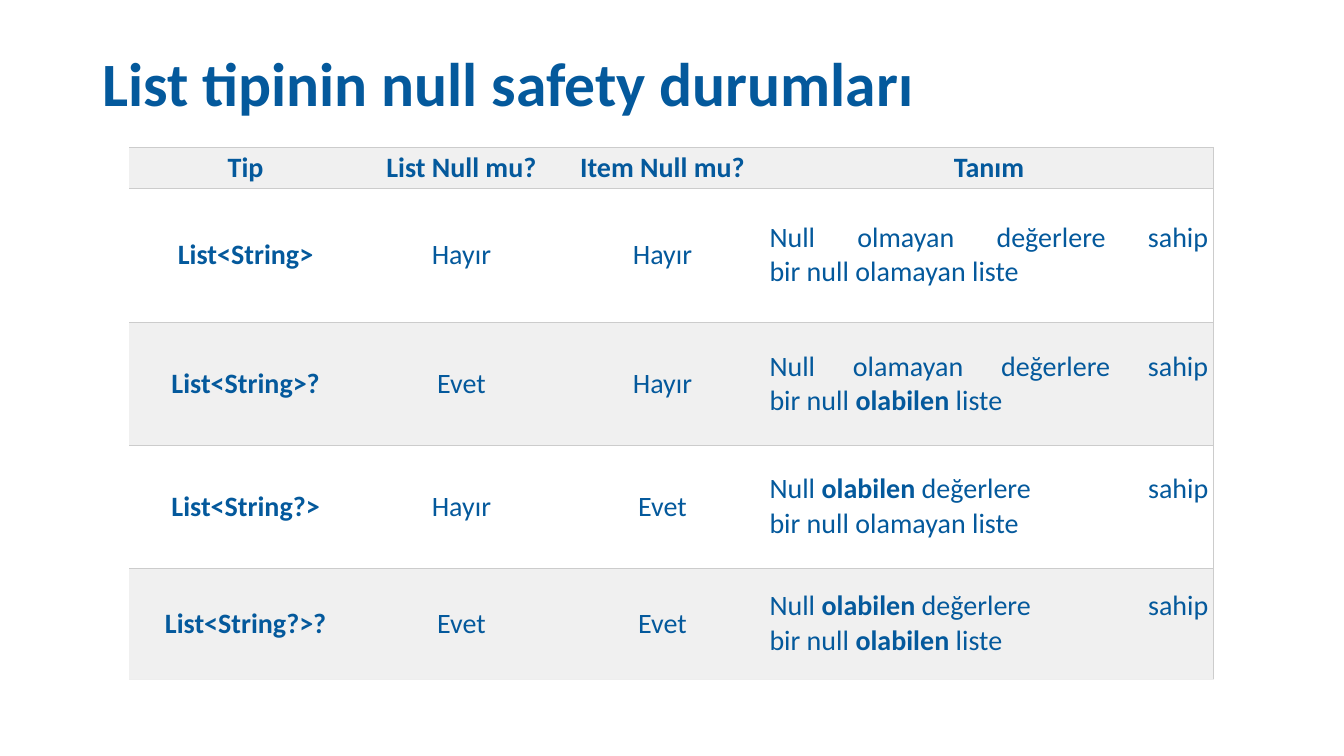
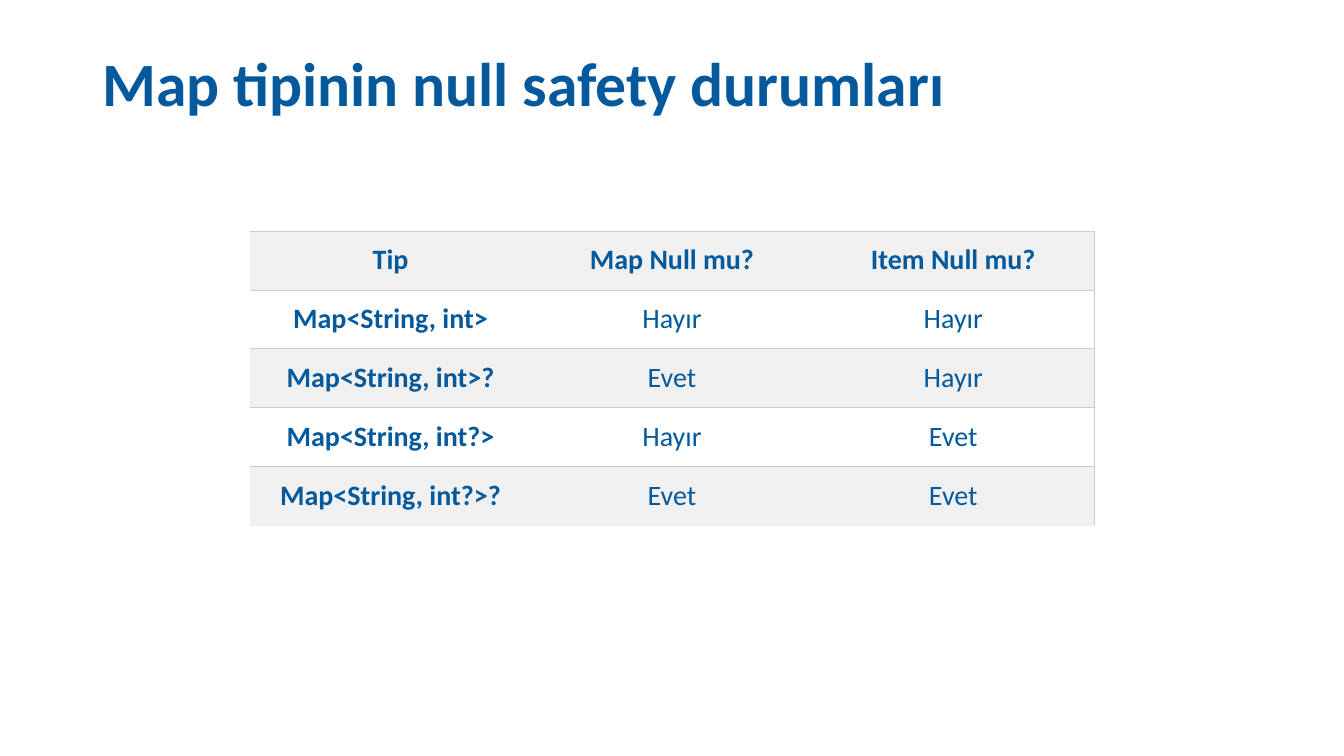
from lxml import etree
from pptx import Presentation
from pptx.dml.color import RGBColor
from pptx.enum.text import MSO_ANCHOR, PP_ALIGN
from pptx.oxml.ns import qn
from pptx.util import Pt

PIXEL = 9525
BLANK_LAYOUT = 6
MIDDLE = MSO_ANCHOR.MIDDLE
LEFT, CENTER, JUSTIFY = PP_ALIGN.LEFT, PP_ALIGN.CENTER, PP_ALIGN.JUSTIFY
FONT = "Calibri"
BLUE = "04599C"
GRAY, WHITE = "F0F0F0", "FFFFFF"
RULE, LAST_RULE = "CCCCCC", "EEEEEE"
RULE_WIDTH = Pt(0.38)
TITLE_SIZE, TABLE_SIZE = 44, 20
NO_BREAK_SPACE = chr(160)

LIST_ROWS = [
    ["Tip", "List Null mu?", "Item Null mu?", "Tanım"],
    ["List<String>", "Hayır", "Hayır",
     "Null olmayan değerlere sahip\nbir null olamayan liste"],
    ["List<String>?", "Evet", "Hayır",
     "Null olamayan değerlere sahip\nbir null~*olabilen*~liste"],
    ["List<String?>", "Hayır", "Evet",
     "Null~*olabilen*~değerlere sahip\nbir null olamayan liste"],
    ["List<String?>?", "Evet", "Evet",
     "Null~*olabilen*~değerlere sahip\nbir null~*olabilen*~liste"],
]
MAP_ROWS = [
    ["Tip", "Map Null mu?", "Item Null mu?"],
    ["Map<String, int>", "Hayır", "Hayır"],
    ["Map<String, int>?", "Evet", "Hayır"],
    ["Map<String, int?>", "Hayır", "Evet"],
    ["Map<String, int?>?", "Evet", "Evet"],
]


def px(length):
    """Turn pixels into EMU."""
    return length * PIXEL


def color(value):
    """Turn a hex string into a colour."""
    return RGBColor.from_string(value)


def format_run(run, size, bold):
    """Apply the shared font to a run."""
    run.font.name = FONT
    run.font.size = Pt(size)
    run.font.bold = bold
    run.font.color.rgb = color(BLUE)


def write_text(paragraph, text, size, bold, alignment):
    """Write lines in which *stars* mark bold words and ~ a no-break space."""
    paragraph.alignment = alignment
    for number, line in enumerate(text.replace("~", NO_BREAK_SPACE).split("\n")):
        if number:
            paragraph.add_line_break()
        for index, part in enumerate(line.split("*")):
            if part:
                run = paragraph.add_run()
                run.text = part
                format_run(run, size, bold or index % 2 == 1)


def add_title(slide, text):
    """Add the slide heading."""
    shape = slide.shapes.add_textbox(px(88), px(38), px(1104), px(89))
    frame = shape.text_frame
    frame.word_wrap = True
    frame.vertical_anchor = MIDDLE
    paragraph = frame.paragraphs[0]
    paragraph.line_spacing = 0.9
    write_text(paragraph, text, TITLE_SIZE, True, LEFT)


def set_borders(cell, right, bottom):
    """Draw the cell borders; a side without a colour stays empty."""
    properties = cell._tc.get_or_add_tcPr()
    sides = {"a:lnL": None, "a:lnR": right, "a:lnT": RULE, "a:lnB": bottom}
    for position, (tag, value) in enumerate(sides.items()):
        line = etree.Element(qn(tag), w=str(RULE_WIDTH if value else 0))
        if value:
            fill = etree.SubElement(line, qn("a:solidFill"))
            etree.SubElement(fill, qn("a:srgbClr"), val=value)
        else:
            etree.SubElement(line, qn("a:noFill"))
        properties.insert(position, line)


def style_cell(cell, fill, margins):
    """Set the fill, anchor and margins of a cell."""
    cell.fill.solid()
    cell.fill.fore_color.rgb = color(fill)
    cell.vertical_anchor = MIDDLE
    cell.margin_left = cell.margin_right = px(margins[0])
    cell.margin_top = cell.margin_bottom = px(margins[1])


def add_banded_table(slide, rows, left, top, widths, heights, margins):
    """Add a table with gray and white bands and thin rules."""
    shape = slide.shapes.add_table(
        len(rows), len(widths), px(left), px(top), px(sum(widths)), px(sum(heights)))
    table = shape.table
    table.first_row = table.horz_banding = False
    for column, width in zip(table.columns, widths):
        column.width = px(width)
    for row, height in zip(table.rows, heights):
        row.height = px(height)
    for row_index, texts in enumerate(rows):
        bottom = LAST_RULE if row_index == len(rows) - 1 else RULE
        for column_index, text in enumerate(texts):
            cell = table.cell(row_index, column_index)
            style_cell(cell, WHITE if row_index % 2 else GRAY, margins)
            right = RULE if column_index == len(widths) - 1 else None
            set_borders(cell, right, bottom)
            bold = row_index == 0 or column_index == 0
            alignment = JUSTIFY if "\n" in text else CENTER
            write_text(cell.text_frame.paragraphs[0], text, TABLE_SIZE, bold, alignment)


def add_table_slide(presentation, title, rows, **layout):
    """Add a slide with a heading and a table."""
    slide = presentation.slides.add_slide(presentation.slide_layouts[BLANK_LAYOUT])
    add_title(slide, title)
    add_banded_table(slide, rows, **layout)


def main():
    """Build and save the presentation."""
    presentation = Presentation()
    presentation.slide_width = px(1280)
    presentation.slide_height = px(720)
    add_table_slide(
        presentation, "List tipinin null safety durumları", LIST_ROWS,
        left=123, top=140, widths=[222, 189, 194, 428],
        heights=[39, 128, 117, 117, 106], margins=(5, 3))
    add_table_slide(
        presentation, "Map tipinin null safety durumları", MAP_ROWS,
        left=238, top=220, widths=[268] * 3,
        heights=[56] * 5, margins=(12, 8))
    presentation.save("out.pptx")


if __name__ == "__main__":
    main()
